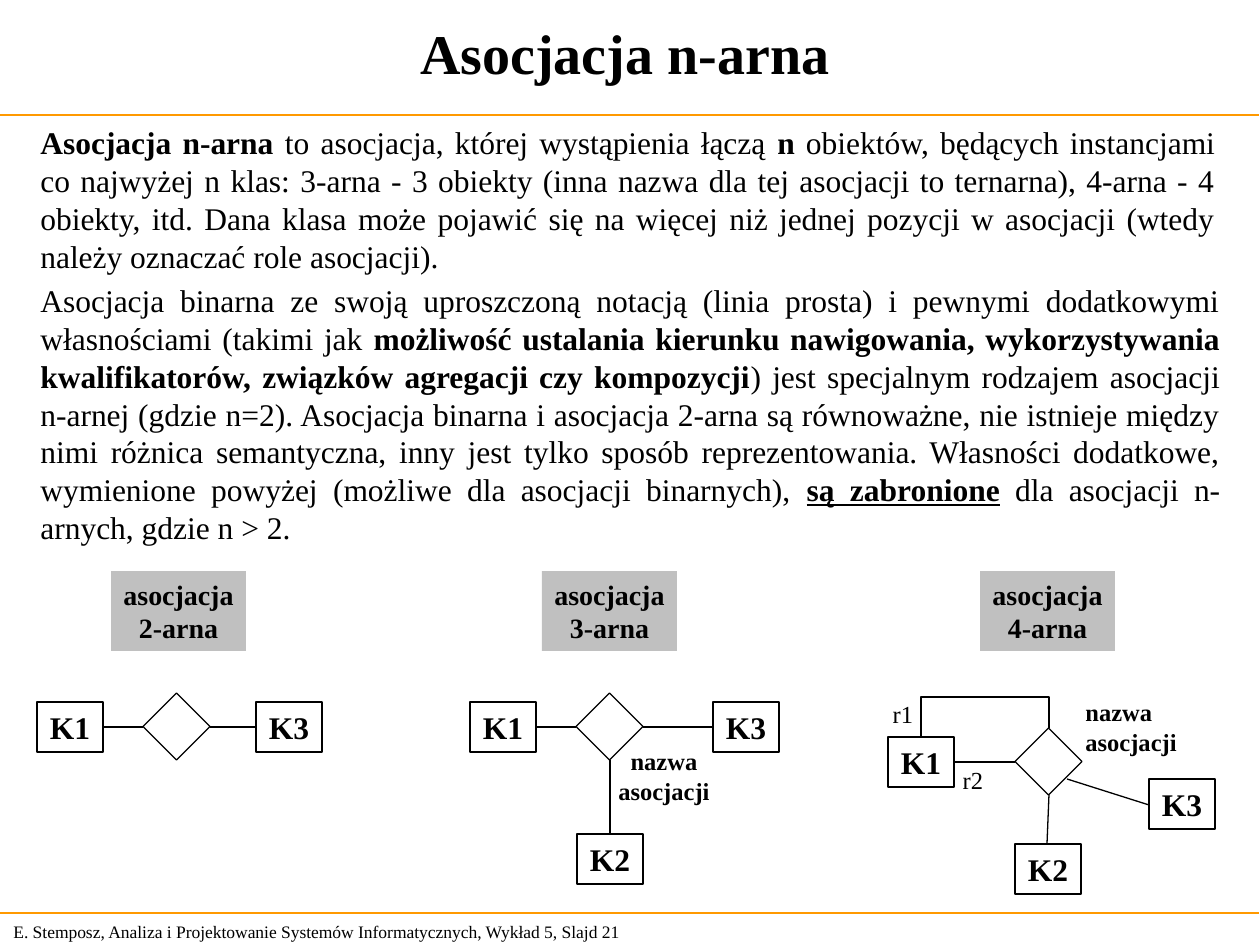
import pptx
import pptx.util
import pptx.dml.color
import pptx.enum.shapes
import pptx.enum.text
import pptx.oxml.ns
import lxml.etree

PX = 914400 / 126
FONT = "Times New Roman"
COLORS = {"text": "000000", "line": "000000", "rule": "FF9900", "label": "C0C0C0"}
SHAPE = pptx.enum.shapes.MSO_SHAPE
CONNECTOR = pptx.enum.shapes.MSO_CONNECTOR
ALIGN = pptx.enum.text.PP_ALIGN
ANCHOR = pptx.enum.text.MSO_ANCHOR
AUTO_SIZE = pptx.enum.text.MSO_AUTO_SIZE

BOX_W, BOX_H = 66, 50
DIAMOND = 67
LABEL_W, LABEL_H = 135, 80

DEFINITION = [
    ("Asocjacja n-arna ", {"bold": True}),
    ("to asocjacja, której wystąpienia łączą ", {}),
    ("n", {"bold": True}),
    (" obiektów, będących instancjami co najwyżej n klas: 3-arna - 3 obiekty "
     "(inna nazwa dla tej asocjacji to ternarna), 4-arna - 4 obiekty, itd. "
     "Dana klasa może pojawić się na więcej niż jednej pozycji w asocjacji "
     "(wtedy należy oznaczać role asocjacji).", {}),
]
COMPARISON = [
    ("Asocjacja binarna ze swoją uproszczoną notacją (linia prosta) i pewnymi "
     "dodatkowymi własnościami (takimi jak ", {}),
    ("możliwość ustalania kierunku nawigowania, wykorzystywania kwalifikatorów, "
     "związków agregacji czy kompozycji", {"bold": True}),
    (") jest specjalnym rodzajem asocjacji n-arnej (gdzie n=2). Asocjacja binarna "
     "i asocjacja 2-arna są równoważne, nie istnieje między nimi różnica "
     "semantyczna, inny jest tylko sposób reprezentowania. Własności dodatkowe, "
     "wymienione powyżej (możliwe dla asocjacji binarnych), ", {}),
    ("są zabronione", {"bold": True, "underline": True}),
    (" dla asocjacji n-arnych, gdzie n > 2.", {}),
]


def emu(*lengths):
    return [pptx.util.Emu(round(n * PX)) for n in lengths]


def rgb(name):
    return pptx.dml.color.RGBColor.from_string(COLORS[name])


def write(sp, paragraphs, size, align, anchor=ANCHOR.TOP, wrap=True, bold=False):
    tf = sp.text_frame
    tf.word_wrap = wrap
    tf.auto_size = AUTO_SIZE.NONE if wrap else AUTO_SIZE.SHAPE_TO_FIT_TEXT
    tf.vertical_anchor = anchor
    for i, runs in enumerate(paragraphs):
        p = tf.paragraphs[0] if i == 0 else tf.add_paragraph()
        p.alignment = align
        for text, style in runs:
            r = p.add_run()
            r.text = text
            values = {"name": FONT, "size": pptx.util.Pt(size), "bold": bold, **style}
            for key, value in values.items():
                setattr(r.font, key, value)
            r.font.color.rgb = rgb("text")


def plain(*lines):
    return [[(line, {})] for line in lines]


def text_box(s, x, y, w, h, paragraphs, size, align=ALIGN.LEFT, **options):
    sp = s.shapes.add_textbox(*emu(x, y, w, h))
    write(sp, paragraphs, size, align, **options)


def outline(s, kind, x, y, w, h):
    sp = s.shapes.add_shape(kind, *emu(x, y, w, h))
    sp.shadow.inherit = False
    sp.fill.background()
    sp.line.color.rgb = rgb("line")
    sp.line.width = pptx.util.Pt(0.75)
    return sp


def class_box(s, name, x, y):
    sp = outline(s, SHAPE.RECTANGLE, x, y, BOX_W, BOX_H)
    write(sp, plain(name), 18, ALIGN.CENTER, ANCHOR.MIDDLE, wrap=False, bold=True)


def diamond(s, x, y):
    outline(s, SHAPE.DIAMOND, x, y, DIAMOND, DIAMOND)


def label(s, arity, x):
    sp = s.shapes.add_shape(SHAPE.RECTANGLE, *emu(x, 571, LABEL_W, LABEL_H))
    sp.shadow.inherit = False
    sp.fill.solid()
    sp.fill.fore_color.rgb = rgb("label")
    sp.line.fill.background()
    write(sp, plain("asocjacja", f"{arity}-arna"), 16, ALIGN.CENTER, wrap=False, bold=True)


def association_name(s, x, y, align):
    text_box(s, x, y, 120, 72, plain("nazwa", "asocjacji"), 14, align, wrap=False, bold=True)


def line(s, x1, y1, x2, y2, width=1, color="line", kind=CONNECTOR.STRAIGHT):
    cxn = s.shapes.add_connector(kind, *emu(x1, y1, x2, y2))
    cxn.line.color.rgb = rgb(color)
    cxn.line.width = pptx.util.Pt(width)
    lxml.etree.SubElement(cxn._element.spPr, pptx.oxml.ns.qn("a:effectLst"))
    return cxn


def loop_line(s, x1, y1, x2, y2, top):
    cx, cy = (x1 + x2) / 2, (y1 + y2) / 2
    half_w, half_h = (y1 - y2) / 2, (x2 - x1) / 2
    cxn = line(s, cx + half_w, cy + half_h, cx - half_w, cy - half_h, kind=CONNECTOR.ELBOW)
    spPr = cxn._element.spPr
    spPr.find(pptx.oxml.ns.qn("a:xfrm")).set("rot", str(90 * 60000))
    geom = spPr.find(pptx.oxml.ns.qn("a:prstGeom"))
    av = geom.find(pptx.oxml.ns.qn("a:avLst"))
    if av is None:
        av = lxml.etree.SubElement(geom, pptx.oxml.ns.qn("a:avLst"))
    bend = round((y1 - top) / (y1 - y2) * 100000)
    lxml.etree.SubElement(av, pptx.oxml.ns.qn("a:gd"), name="adj1", fmla=f"val {bend}")


def row(s, left, diamond_x, right):
    class_box(s, "K1", left, 702)
    class_box(s, "K3", right, 702)
    diamond(s, diamond_x, 693)
    line(s, left + BOX_W, 727, diamond_x, 727)
    line(s, diamond_x + DIAMOND, 727, right, 727)


def ternary(s):
    row(s, 470, 576, 713)
    class_box(s, "K2", 577, 834)
    line(s, 610, 760, 610, 834)
    association_name(s, 604, 740, ALIGN.CENTER)


def quaternary(s):
    for name, x, y in [("K1", 888, 737), ("K2", 1015, 844), ("K3", 1149, 779)]:
        class_box(s, name, x, y)
    diamond(s, 1015, 728)
    line(s, 1049, 795, 1047, 844, 0.75)
    line(s, 1067, 779, 1149, 805, 0.75)
    line(s, 954, 762, 1015, 762)
    loop_line(s, 921, 736, 1049, 728, 697)
    for role, x, y in [("r1", 878, 693), ("r2", 948, 759)]:
        text_box(s, x, y, 50, 43, plain(role), 14, ALIGN.CENTER, wrap=False)
    association_name(s, 1073, 691, ALIGN.LEFT)


def main():
    prs = pptx.Presentation()
    prs.slide_width, prs.slide_height = emu(1260, 945)
    s = prs.slides.add_slide(prs.slide_layouts[6])
    text_box(s, 1, 914, 660, 34,
             plain("E. Stemposz, Analiza i Projektowanie Systemów Informatycznych, "
                   "Wykład 5, Slajd 21"), 10, anchor=ANCHOR.MIDDLE)
    for y in (115, 913):
        line(s, -1, y, 1259, y, 0.75, "rule")
    text_box(s, 0, -1, 1250, 107, plain("Asocjacja n-arna"), 32, ALIGN.CENTER,
             anchor=ANCHOR.MIDDLE, bold=True)
    text_box(s, 28, 117, 1200, 164, [DEFINITION], 18, ALIGN.JUSTIFY)
    text_box(s, 28, 275, 1205, 277, [COMPARISON], 18, ALIGN.JUSTIFY)
    for arity, x in [(2, 111), (3, 542), (4, 980)]:
        label(s, arity, x)
    row(s, 37, 143, 256)
    ternary(s)
    quaternary(s)
    prs.save("out.pptx")


if __name__ == "__main__":
    main()
